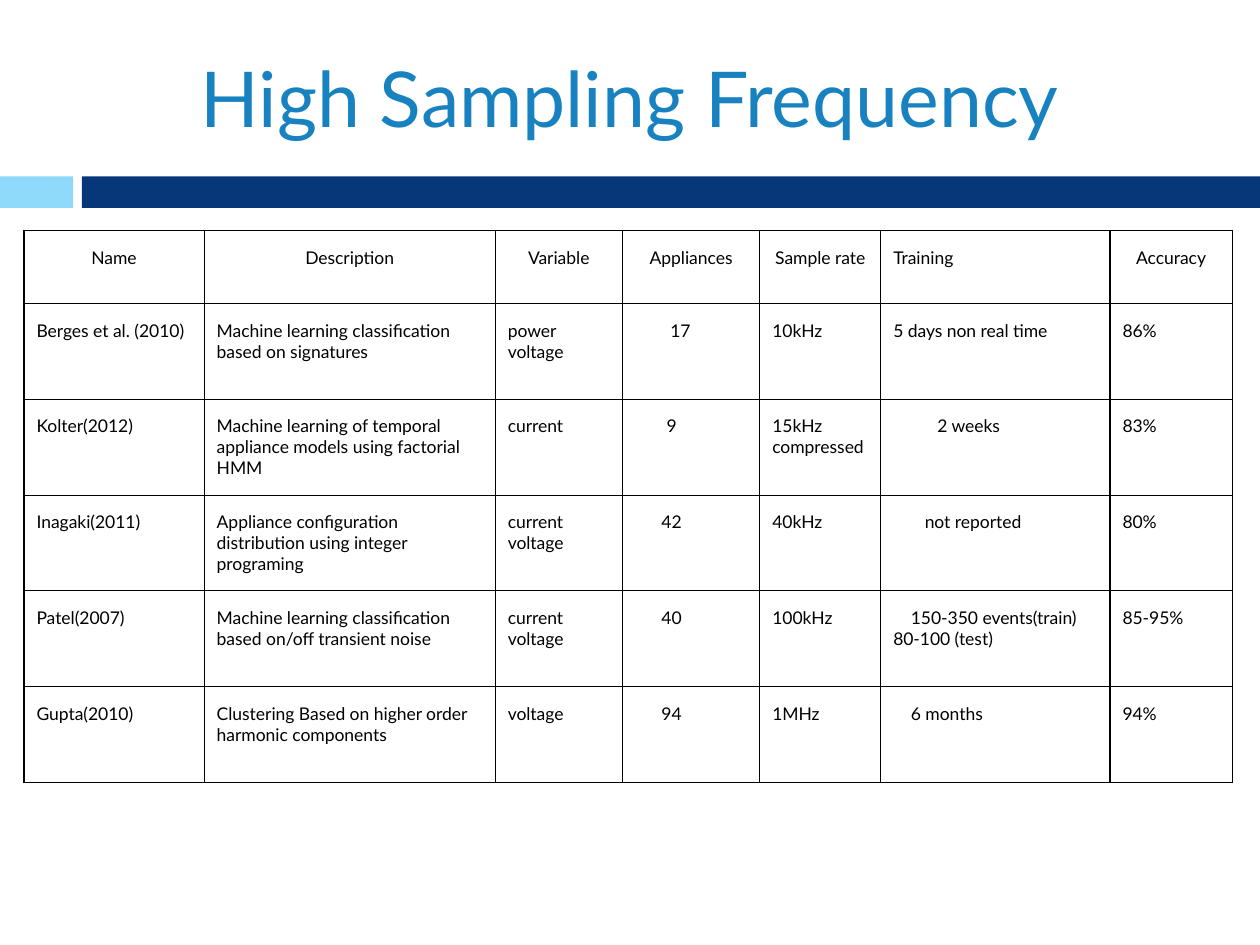
from dataclasses import dataclass
from typing import Optional

from lxml.etree import SubElement
from pptx import Presentation
from pptx.dml.color import RGBColor
from pptx.enum.shapes import MSO_SHAPE
from pptx.enum.text import MSO_ANCHOR, PP_ALIGN
from pptx.oxml.ns import qn
from pptx.util import Inches, Pt


@dataclass(frozen=True)
class Theme:
    """Colours, font and type sizes of the slide."""
    font: str = "Lato"
    title_size: int = 44
    table_size: int = 10
    border_width: float = 0.75
    title: str = "1782BF"
    text: str = "000000"
    light_bar: str = "8FD9FB"
    dark_bar: str = "073779"


@dataclass(frozen=True)
class Bar:
    """A block of the divider under the title."""
    left: float
    width: float
    color: str


@dataclass(frozen=True)
class Entry:
    """Cell text; indent moves its first line to the right, in inches."""
    text: str
    indent: float = 0


@dataclass(frozen=True)
class Study:
    """One row of the comparison."""
    name: str
    description: str
    variable: str
    appliances: Entry
    sample_rate: str
    training: Entry
    accuracy: str

    def entries(self) -> list[Entry]:
        """Return the cells in column order."""
        return [Entry(self.name), Entry(self.description), Entry(self.variable),
                self.appliances, Entry(self.sample_rate), self.training,
                Entry(self.accuracy)]


THEME = Theme()
BARS = [Bar(0, 0.58, THEME.light_bar), Bar(0.65, 9.35, THEME.dark_bar)]
HEADINGS = ["Name", "Description", "Variable", "Appliances", "Sample rate",
            "Training", "Accuracy"]
LEFT_HEADING = "Training"
COLUMN_WIDTHS = [1.43, 2.31, 1.01, 1.09, 0.96, 1.82, 0.97]
HEADING_HEIGHT, STUDY_HEIGHT = 0.58, 0.76
STUDIES = [
    Study("Berges et al. (2010)", "Machine learning classification based on signatures",
          "power\nvoltage", Entry("17", 0.28), "10kHz",
          Entry("5 days non real time"), "86%"),
    Study("Kolter(2012)",
          "Machine learning of temporal appliance models using factorial HMM",
          "current", Entry("9", 0.25), "15kHz\ncompressed",
          Entry("2 weeks", 0.35), "83%"),
    Study("Inagaki(2011)", "Appliance configuration distribution using integer programing",
          "current\nvoltage", Entry("42", 0.21), "40kHz",
          Entry("not reported", 0.25), "80%"),
    Study("Patel(2007)", "Machine learning classification based on/off transient noise",
          "current\nvoltage", Entry("40", 0.21), "100kHz",
          Entry("150-350 events(train)\n80-100 (test)", 0.14), "85-95%"),
    Study("Gupta(2010)", "Clustering Based on higher order harmonic components",
          "voltage", Entry("94", 0.21), "1MHz",
          Entry("6 months", 0.14), "94%"),
]


def style_paragraph(paragraph, size: int, color: str,
                    align: Optional[PP_ALIGN] = None) -> None:
    """Set the font and alignment of a paragraph."""
    paragraph.alignment = align
    paragraph.font.name = THEME.font
    paragraph.font.size = Pt(size)
    paragraph.font.color.rgb = RGBColor.from_string(color)


def add_bar(slide, bar: Bar) -> None:
    """Draw one block of the divider."""
    block = slide.shapes.add_shape(MSO_SHAPE.RECTANGLE, Inches(bar.left), Inches(1.4),
                                   Inches(bar.width), Inches(0.25))
    block.shadow.inherit = False
    block.fill.solid()
    block.fill.fore_color.rgb = RGBColor.from_string(bar.color)
    block.line.fill.background()


def add_title(slide, text: str) -> None:
    """Write the slide title."""
    frame = slide.shapes.add_textbox(Inches(0.5), Inches(0.3),
                                     Inches(9), Inches(1.25)).text_frame
    frame.word_wrap = True
    frame.vertical_anchor = MSO_ANCHOR.TOP
    frame.margin_left = frame.margin_right = Inches(0.1)
    frame.margin_top = frame.margin_bottom = Inches(0.1)
    frame.text = text
    style_paragraph(frame.paragraphs[0], THEME.title_size, THEME.title, PP_ALIGN.CENTER)


def add_borders(cell) -> None:
    """Draw a line on all four sides of a cell."""
    properties = cell._tc.get_or_add_tcPr()
    for position, side in enumerate(("a:lnL", "a:lnR", "a:lnT", "a:lnB")):
        line = SubElement(properties, qn(side), w=str(Pt(THEME.border_width)))
        fill = SubElement(line, qn("a:solidFill"))
        SubElement(fill, qn("a:srgbClr"), val=THEME.text)
        properties.insert(position, line)


def fill_cell(cell, entry: Entry, align: PP_ALIGN) -> None:
    """Write and format one table cell."""
    cell.margin_left = cell.margin_right = Inches(0.1)
    cell.margin_top = cell.margin_bottom = Inches(0.13)
    cell.vertical_anchor = MSO_ANCHOR.TOP
    cell.fill.background()
    cell.text = entry.text
    for paragraph in cell.text_frame.paragraphs:
        style_paragraph(paragraph, THEME.table_size, THEME.text, align)
    if entry.indent:
        first = cell.text_frame.paragraphs[0]._p.get_or_add_pPr()
        first.set("marL", str(Inches(entry.indent)))
        first.set("indent", "0")
    add_borders(cell)


def add_comparison(slide) -> None:
    """Build the table of studies."""
    heights = [HEADING_HEIGHT] + [STUDY_HEIGHT] * len(STUDIES)
    table = slide.shapes.add_table(len(heights), len(HEADINGS), Inches(0.19), Inches(1.83),
                                   Inches(sum(COLUMN_WIDTHS)), Inches(sum(heights))).table
    table.first_row = table.horz_banding = False
    for column, width in zip(table.columns, COLUMN_WIDTHS):
        column.width = Inches(width)
    for row, height in zip(table.rows, heights):
        row.height = Inches(height)
    for cell, heading in zip(table.rows[0].cells, HEADINGS):
        align = PP_ALIGN.LEFT if heading == LEFT_HEADING else PP_ALIGN.CENTER
        fill_cell(cell, Entry(heading), align)
    for index, study in enumerate(STUDIES, start=1):
        for cell, entry in zip(table.rows[index].cells, study.entries()):
            fill_cell(cell, entry, PP_ALIGN.LEFT)


def main() -> None:
    """Build and save the slide."""
    deck = Presentation()
    deck.slide_width, deck.slide_height = Inches(10), Inches(7.5)
    slide = deck.slides.add_slide(deck.slide_layouts[6])
    for bar in BARS:
        add_bar(slide, bar)
    add_comparison(slide)
    add_title(slide, "High Sampling Frequency")
    deck.save("out.pptx")


main()
